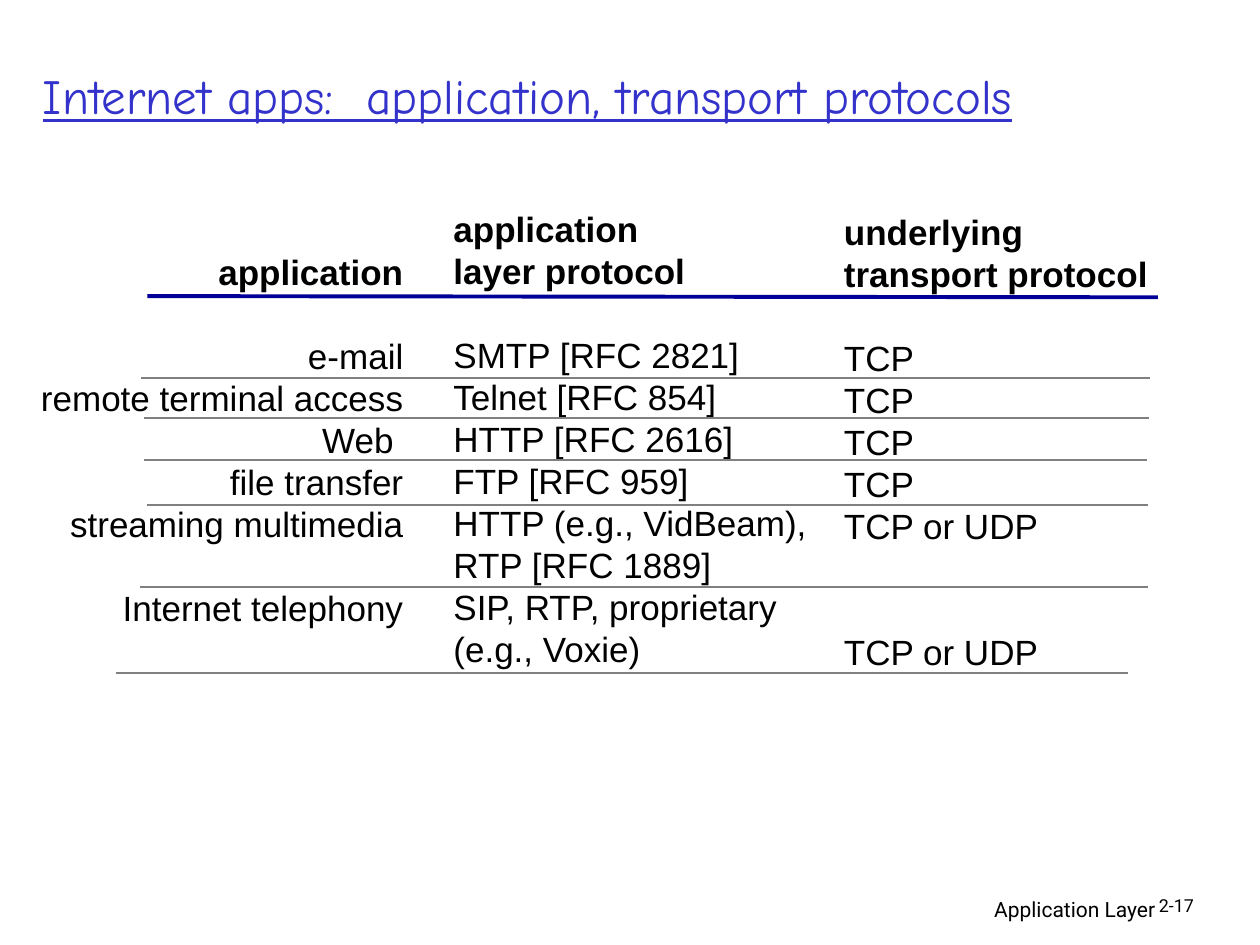
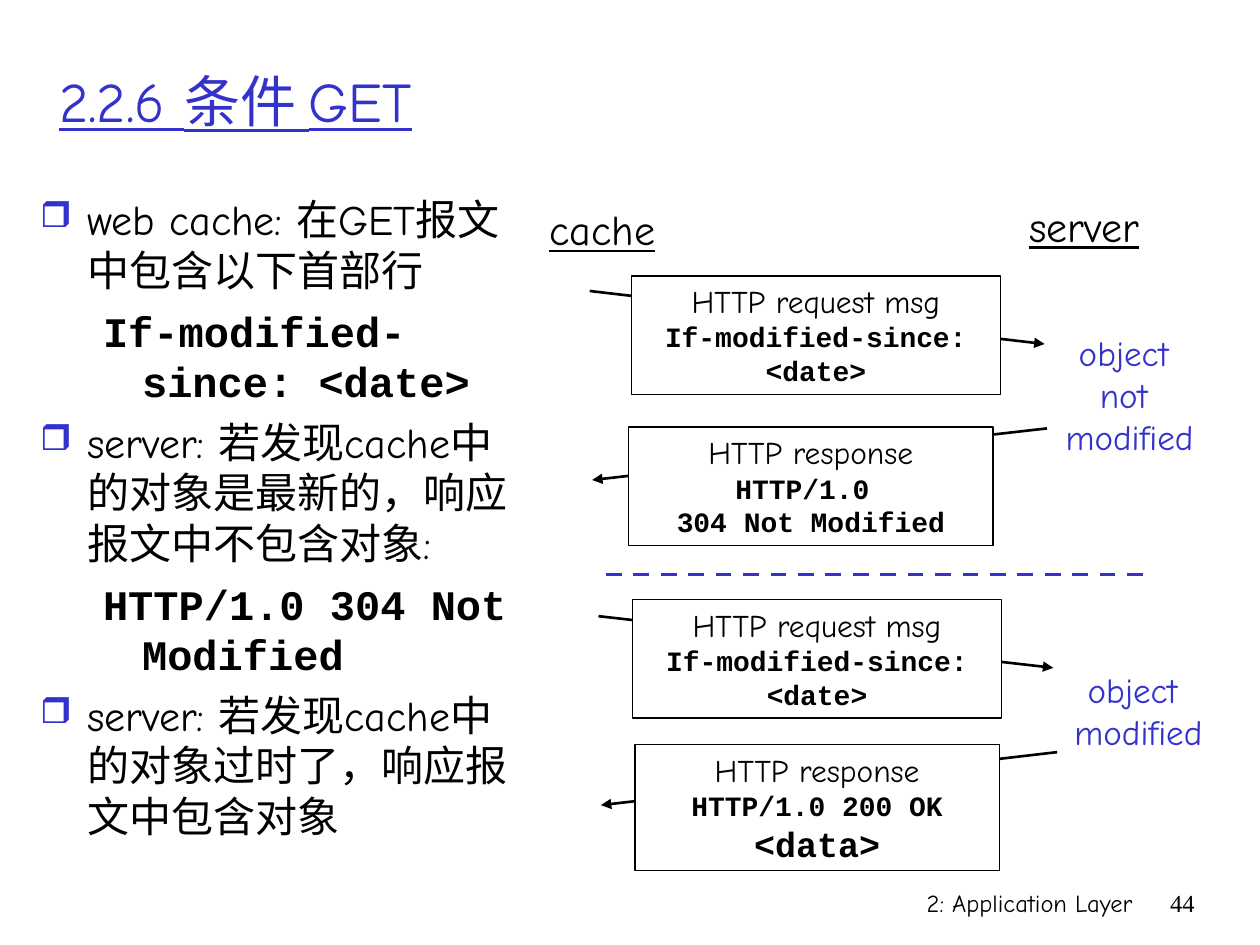
from lxml import etree
from pptx import Presentation
from pptx.dml.color import RGBColor
from pptx.enum.dml import MSO_LINE
from pptx.enum.shapes import MSO_CONNECTOR, MSO_SHAPE
from pptx.enum.text import MSO_ANCHOR, MSO_AUTO_SIZE, PP_ALIGN
from pptx.oxml.ns import qn
from pptx.util import Pt

LEFT, CENTER, RIGHT = PP_ALIGN.LEFT, PP_ALIGN.CENTER, PP_ALIGN.RIGHT
TOP, MIDDLE = MSO_ANCHOR.TOP, MSO_ANCHOR.MIDDLE
NO_AUTOFIT = MSO_AUTO_SIZE.NONE
STRAIGHT = MSO_CONNECTOR.STRAIGHT
RECTANGLE = MSO_SHAPE.RECTANGLE
DASH = MSO_LINE.DASH

BLACK = RGBColor(0x00, 0x00, 0x00)
WHITE = RGBColor(0xFF, 0xFF, 0xFF)
BLUE = RGBColor(0x33, 0x33, 0xCC)
NAVY = RGBColor(0x00, 0x00, 0x99)
GRAY = RGBColor(0x80, 0x80, 0x80)

COMIC, COURIER, ARIAL = "Comic Neue", "Courier New", "Arial"
ROBOTO, TIMES = "Roboto", "Times New Roman"


def set_text(shape, lines, color=BLACK, alignment=LEFT, underline=False, wrap=True, anchor=TOP):
    frame = shape.text_frame
    frame.word_wrap = wrap
    frame.auto_size = NO_AUTOFIT
    frame.vertical_anchor = anchor
    for index, (text, font, size, bold) in enumerate(lines):
        paragraph = frame.add_paragraph() if index else frame.paragraphs[0]
        paragraph.text = text
        paragraph.alignment = alignment
        paragraph.font.name = font
        paragraph.font.size = Pt(size)
        paragraph.font.bold = bold
        paragraph.font.underline = underline
        paragraph.font.color.rgb = color
    return frame.paragraphs


def add_line(slide, ends, color, width):
    line = slide.shapes.add_connector(STRAIGHT, *map(Pt, ends))
    line.line.color.rgb = color
    line.line.width = Pt(width)
    etree.SubElement(line._element.spPr, qn("a:effectLst"))
    return line


presentation = Presentation()
presentation.slide_width = Pt(720)
presentation.slide_height = Pt(540)

SLIDES = [
    (
        ("Internet apps:  application, transport protocols", 28, (17.3, 20.9, 689, 66.2)),
        [
            ("Application Layer", ROBOTO, 12, RIGHT, (439.2, 509, 228.2, 22.3)),
            ("2-17", ROBOTO, 10.2, LEFT, (655.2, 509, 53.3, 21.6)),
        ],
    ),
    (
        ("2.2.6 条件 GET", 32, (26.6, 12.2, 627.1, 90)),
        [
            ("2: Application Layer", COMIC, 14, RIGHT, (426.2, 504, 228.2, 36)),
            ("44", TIMES, 14, RIGHT, (653.8, 504, 36, 36)),
        ],
    ),
]

for (title_text, title_size, title_box), footers in SLIDES:
    slide = presentation.slides.add_slide(presentation.slide_layouts[5])
    title = slide.shapes.title
    title.left, title.top, title.width, title.height = map(Pt, title_box)
    set_text(title, [(title_text, COMIC, title_size, False)], BLUE, underline=True, anchor=MIDDLE)
    for text, font, size, alignment, box in footers:
        footer = slide.shapes.add_textbox(*map(Pt, box))
        set_text(footer, [(text, font, size, False)], alignment=alignment)

protocols_slide, get_slide = presentation.slides
protocols_slide.shapes[2].text_frame.paragraphs[0].line_spacing = 0.9

ROW_HEIGHT = 24
PROTOCOL_COLUMNS = [
    (
        (9, 139.7, 228.6, 247.7), RIGHT, ["application"],
        ["e-mail", "remote terminal access", "Web ", "file transfer",
         "streaming multimedia", "Internet telephony"],
        {5: 1},
    ),
    (
        (252, 115.2, 222.5, 271.4), LEFT, ["application", "layer protocol"],
        ["SMTP [RFC 2821]", "Telnet [RFC 854]", "HTTP [RFC 2616]", "FTP [RFC 959]",
         "HTTP (e.g., VidBeam), \nRTP [RFC 1889]", "SIP, RTP, proprietary", "(e.g., Voxie)"],
        {},
    ),
    (
        (475.2, 116.6, 206.6, 271.4), LEFT, ["underlying", "transport protocol"],
        ["TCP", "TCP", "TCP", "TCP", "TCP or UDP", "TCP or UDP"],
        {5: 2},
    ),
]

for box, alignment, headings, entries, skipped_rows in PROTOCOL_COLUMNS:
    column = protocols_slide.shapes.add_textbox(*map(Pt, box))
    lines = [(text, ARIAL, 20, True) for text in headings]
    lines += [(text, ARIAL, 20, False) for text in entries]
    paragraphs = set_text(column, lines, alignment=alignment)
    for paragraph in paragraphs:
        paragraph.line_spacing = Pt(ROW_HEIGHT)
    for row, count in {0: 1, **skipped_rows}.items():
        paragraphs[len(headings) + row].space_before = Pt(count * ROW_HEIGHT)

add_line(protocols_slide, (84.2, 169.2, 661.7, 169.9), NAVY, 2.25)
for start, end, y in [
    (80.6, 657.4, 216), (82.1, 656.6, 239), (82.1, 655.2, 262.8),
    (84.2, 655.9, 288.4), (79.9, 655.9, 335.5), (66.2, 644.4, 384.5),
]:
    add_line(protocols_slide, (start, y, end, y), GRAY, 1)

POINTS = [
    ("web cache: 在GET报文中包含以下首部行", False),
    ("If-modified-since: <date>", True),
    ("server: 若发现cache中的对象是最新的，响应报文中不包含对象:", False),
    ("HTTP/1.0 304 Not Modified", True),
    ("server: 若发现cache中的对象过时了，响应报文中包含对象", False),
]
body = get_slide.shapes.add_textbox(Pt(15.8), Pt(107.3), Pt(288.7), Pt(388.8))
lines = [(text, COURIER if code else COMIC, 24, code) for text, code in POINTS]
for index, paragraph in enumerate(set_text(body, lines)):
    properties = paragraph._p.get_or_add_pPr()
    code = POINTS[index][1]
    margin, indent = (58.3, -22.3) if code else (27, -27)
    properties.set("marL", str(Pt(margin)))
    properties.set("indent", str(Pt(indent)))
    if index:
        paragraph.space_before = Pt(6)
    if not code:
        bullet_color = etree.Element(qn("a:buClr"))
        etree.SubElement(bullet_color, qn("a:srgbClr"), val=str(BLUE))
        bullet_size = etree.Element(qn("a:buSzPct"), val="85000")
        bullet = etree.Element(qn("a:buChar"), char="❒")
        position = properties.index(properties.find(qn("a:defRPr")))
        properties[position:position] = [bullet_color, bullet_size, bullet]

REQUEST = [
    ("HTTP request msg", COMIC, 18, False),
    ("If-modified-since: <date>", COURIER, 16, True),
]
RESPONSE = ("HTTP response", COMIC, 18, False)
NOT_MODIFIED = [
    RESPONSE,
    ("HTTP/1.0 ", COURIER, 16, True),
    ("304 Not Modified", COURIER, 16, True),
]
MODIFIED = [
    RESPONSE,
    ("HTTP/1.0 200 OK", COURIER, 16, True),
    ("<data>", COURIER, 20, True),
]
MESSAGES = [
    ((337, 166.3, 596.9, 196.6), (360.7, 157.7, 211, 67.7), REQUEST),
    ((598.3, 244.8, 338.4, 274.3), (359.3, 244.1, 208.1, 67.7), NOT_MODIFIED),
    ((342, 352.1, 601.9, 381.6), (361.4, 342.7, 211, 67.7), REQUEST),
    ((604.1, 429.8, 343.4, 460.1), (362.9, 425.5, 208.1, 72), MODIFIED),
]
for ends, box, lines in MESSAGES:
    arrow = add_line(get_slide, ends, BLACK, 1.5)
    etree.SubElement(arrow.line._get_or_add_ln(), qn("a:tailEnd"), type="triangle")
    message = get_slide.shapes.add_shape(RECTANGLE, *map(Pt, box))
    message.shadow.inherit = False
    message.fill.solid()
    message.fill.fore_color.rgb = WHITE
    message.line.color.rgb = BLACK
    message.line.width = Pt(0.75)
    set_text(message, lines, alignment=CENTER)

divider = add_line(get_slide, (346.3, 328.3, 653.8, 328.3), BLUE, 2.25)
divider.line.dash_style = DASH

LABELS = [
    (["cache"], 24, BLACK, (306.7, 113, 74.9, 36)),
    (["server"], 24, BLACK, (581, 110.9, 77, 36)),
    (["object ", "not ", "modified"], 20, BLUE, (601.9, 185.8, 87.1, 79.2)),
    (["object ", "modified"], 20, BLUE, (607, 378.7, 87.1, 55.4)),
]
for texts, size, color, box in LABELS:
    label = get_slide.shapes.add_textbox(*map(Pt, box))
    lines = [(text, COMIC, size, False) for text in texts]
    set_text(label, lines, color, CENTER, underline=color == BLACK, wrap=False)

presentation.save("out.pptx")
